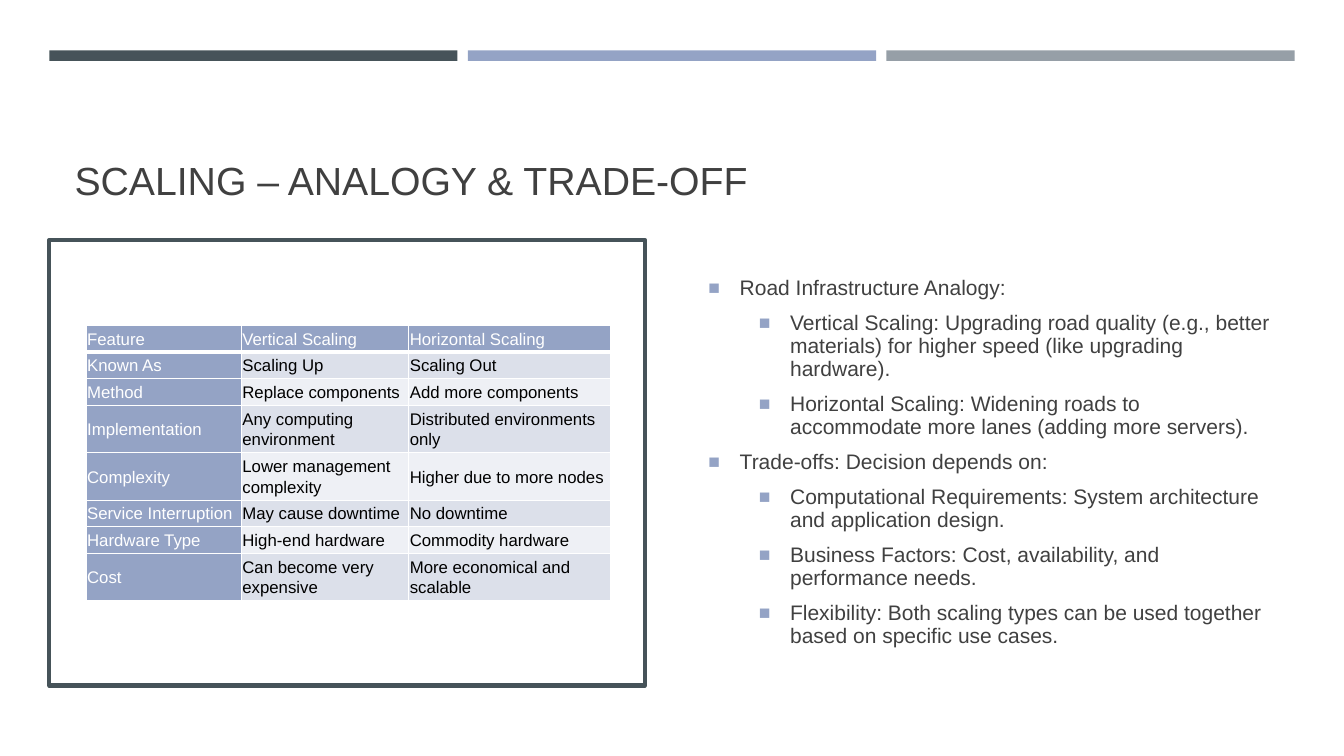
from lxml.etree import SubElement
from pptx import Presentation
from pptx.dml.color import RGBColor
from pptx.enum.shapes import MSO_SHAPE
from pptx.enum.text import MSO_ANCHOR, MSO_AUTO_SIZE, PP_ALIGN
from pptx.oxml.ns import qn
from pptx.util import Pt

WHITE = RGBColor(0xFF, 0xFF, 0xFF)
BLACK = RGBColor(0x00, 0x00, 0x00)
INK = RGBColor(0x40, 0x40, 0x40)
SLATE = RGBColor(0x46, 0x53, 0x59)
BLUE = RGBColor(0x94, 0xA3, 0xC5)
GREY = RGBColor(0x96, 0x9F, 0xA7)
DARK = RGBColor(0xDC, 0xE0, 0xEA)
LIGHT = RGBColor(0xEE, 0xF0, 0xF5)

ROWS = [
    ("Feature", "Vertical Scaling", "Horizontal Scaling"),
    ("Known As", "Scaling Up", "Scaling Out"),
    ("Method", "Replace components", "Add more components"),
    ("Implementation", "Any computing environment", "Distributed environments only"),
    ("Complexity", "Lower management complexity", "Higher due to more nodes"),
    ("Service Interruption", "May cause downtime", "No downtime"),
    ("Hardware Type", "High-end hardware", "Commodity hardware"),
    ("Cost", "Can become very expensive", "More economical and scalable"),
]
WIDTHS = (110.9, 119.6, 144)
TALL = (3, 4, 7)
POINTS = [
    (0, "Road Infrastructure Analogy:"),
    (1, "Vertical Scaling: Upgrading road quality (e.g., better materials) "
        "for higher speed (like upgrading hardware)."),
    (1, "Horizontal Scaling: Widening roads to accommodate more lanes "
        "(adding more servers)."),
    (0, "Trade-offs: Decision depends on:"),
    (1, "Computational Requirements: System architecture and application design."),
    (1, "Business Factors: Cost, availability, and performance needs."),
    (1, "Flexibility: Both scaling types can be used together based on "
        "specific use cases."),
]


def style(para, size, color):
    """Set the font of every run in a paragraph."""
    for run in para.runs:
        run.font.name = "Arial"
        run.font.size = Pt(size)
        run.font.color.rgb = color


def add_title(slide, text):
    """Place and format the title."""
    title = slide.shapes.title
    title.left, title.top, title.width, title.height = Pt(46.1), Pt(55.4), Pt(868.3), Pt(93.6)
    frame = title.text_frame
    frame.text = text
    frame.auto_size = MSO_AUTO_SIZE.NONE
    frame.vertical_anchor = MSO_ANCHOR.BOTTOM
    para = frame.paragraphs[0]
    para.alignment = PP_ALIGN.LEFT
    para.line_spacing = 0.9
    style(para, 28, INK)


def add_rect(slide, left, top, width, height, fill, edge=None):
    """Draw a plain rectangle with an optional outline."""
    rect = slide.shapes.add_shape(
        MSO_SHAPE.RECTANGLE, Pt(left), Pt(top), Pt(width), Pt(height))
    rect.shadow.inherit = False
    rect.fill.solid()
    rect.fill.fore_color.rgb = fill
    if edge is None:
        rect.line.fill.background()
    else:
        rect.line.color.rgb = edge
        rect.line.width = Pt(3)


def set_bullet(para, level):
    """Give a paragraph a square bullet and a hanging indent."""
    props = para._p.get_or_add_pPr()
    props.set("marL", str(Pt(22.3 + 36 * level)))
    props.set("indent", str(-Pt(22.3)))
    tint = SubElement(props, qn("a:buClr"))
    SubElement(tint, qn("a:srgbClr"), val=str(BLUE))
    SubElement(props, qn("a:buSzPct"), val="92000")
    SubElement(props, qn("a:buFont"), typeface="Arial")
    SubElement(props, qn("a:buChar"), char="■")


def add_list(slide):
    """Write the bulleted list at the right."""
    box = slide.shapes.add_textbox(Pt(499), Pt(171.4), Pt(415.4), Pt(318.2))
    frame = box.text_frame
    frame.word_wrap = True
    frame.vertical_anchor = MSO_ANCHOR.MIDDLE
    frame.text = "\n".join(text for _, text in POINTS)
    for i, (para, (level, _)) in enumerate(zip(frame.paragraphs, POINTS)):
        para.level = level
        set_bullet(para, level)
        para.line_spacing = 0.9
        para.space_before = Pt(3 if i else 0)
        para.space_after = Pt(6)
        style(para, 15, INK)


def set_edges(cell, base):
    """Draw white borders around a cell, with its own base width."""
    props = cell._tc.get_or_add_tcPr()
    for i, (side, width) in enumerate(zip("LRTB", (1, 1, 1, base))):
        edge = props.makeelement(qn(f"a:ln{side}"), {"w": str(Pt(width))})
        fill = SubElement(edge, qn("a:solidFill"))
        SubElement(fill, qn("a:srgbClr"), val=str(WHITE))
        props.insert(i, edge)


def fill_cell(cell, text, row, col):
    """Write and colour one table cell."""
    head = row == 0 or col == 0
    cell.margin_left = cell.margin_right = Pt(0.75)
    cell.margin_top = cell.margin_bottom = Pt(0.75)
    cell.vertical_anchor = MSO_ANCHOR.MIDDLE
    cell.fill.solid()
    cell.fill.fore_color.rgb = BLUE if head else DARK if row % 2 else LIGHT
    set_edges(cell, 1 if row else 3)
    cell.text_frame.text = text
    para = cell.text_frame.paragraphs[0]
    para.line_spacing = 1.07
    para.space_after = Pt(8)
    style(para, 12, WHITE if head else BLACK)


def add_grid(slide):
    """Build the comparison table."""
    highs = [33.8 if i in TALL else 19.1 for i in range(len(ROWS))]
    grid = slide.shapes.add_table(
        len(ROWS), len(WIDTHS), Pt(61.5), Pt(232.4), Pt(sum(WIDTHS)), Pt(sum(highs))).table
    for col, width in zip(grid.columns, WIDTHS):
        col.width = Pt(width)
    for i, (texts, high) in enumerate(zip(ROWS, highs)):
        grid.rows[i].height = Pt(high)
        for j, text in enumerate(texts):
            fill_cell(grid.cell(i, j), text, i, j)


def main():
    """Build and save the slide."""
    deck = Presentation()
    deck.slide_width, deck.slide_height = Pt(960), Pt(540)
    slide = deck.slides.add_slide(deck.slide_layouts[5])
    add_title(slide, "SCALING – ANALOGY & TRADE-OFF")
    for i, color in enumerate((SLATE, BLUE, GREY)):
        add_rect(slide, 35.2 + 299 * i, 36, 291.6, 7.5, color)
    add_rect(slide, 35.2, 171.4, 425.5, 318.2, WHITE, SLATE)
    add_list(slide)
    add_grid(slide)
    deck.save("out.pptx")


if __name__ == "__main__":
    main()
